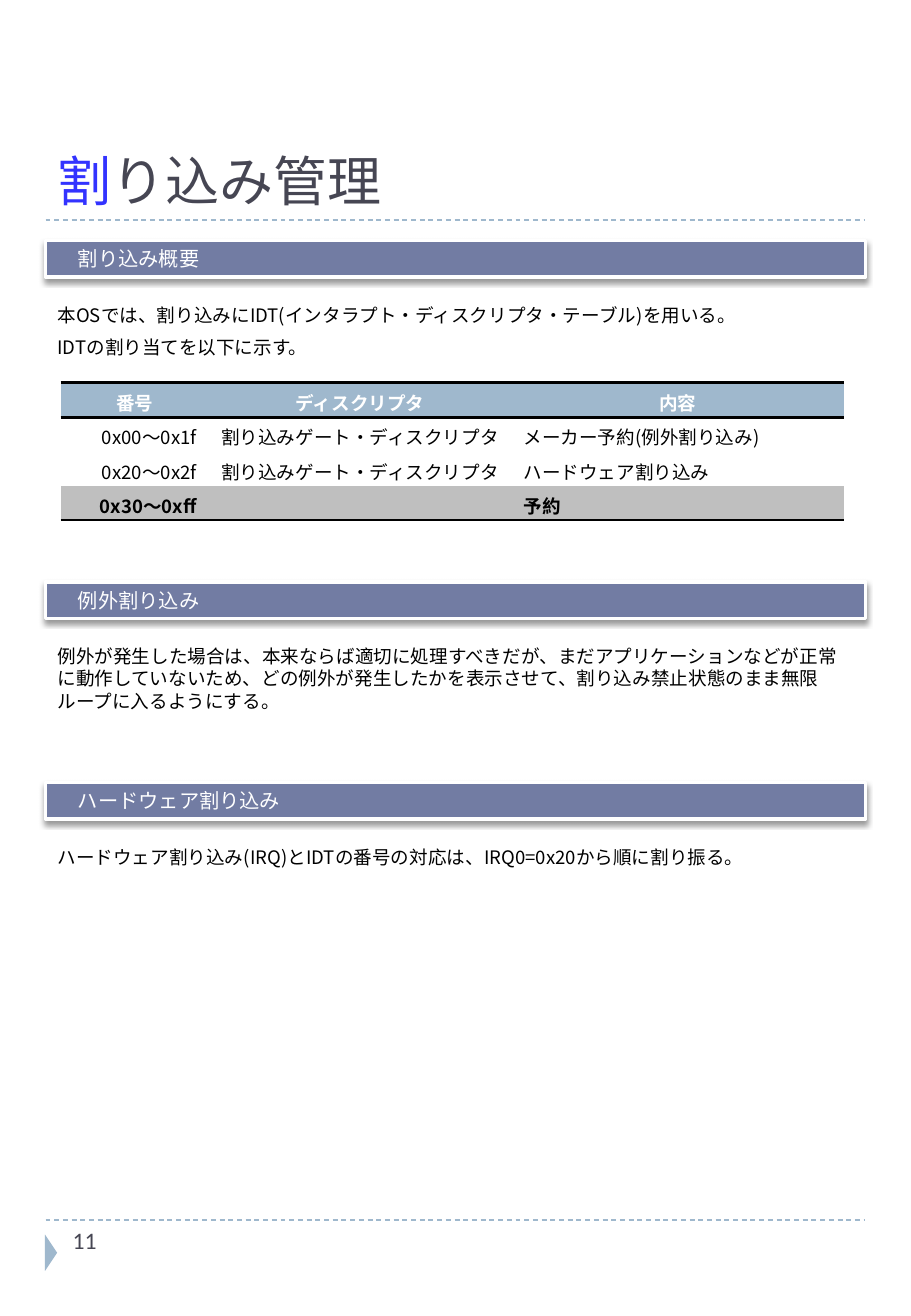
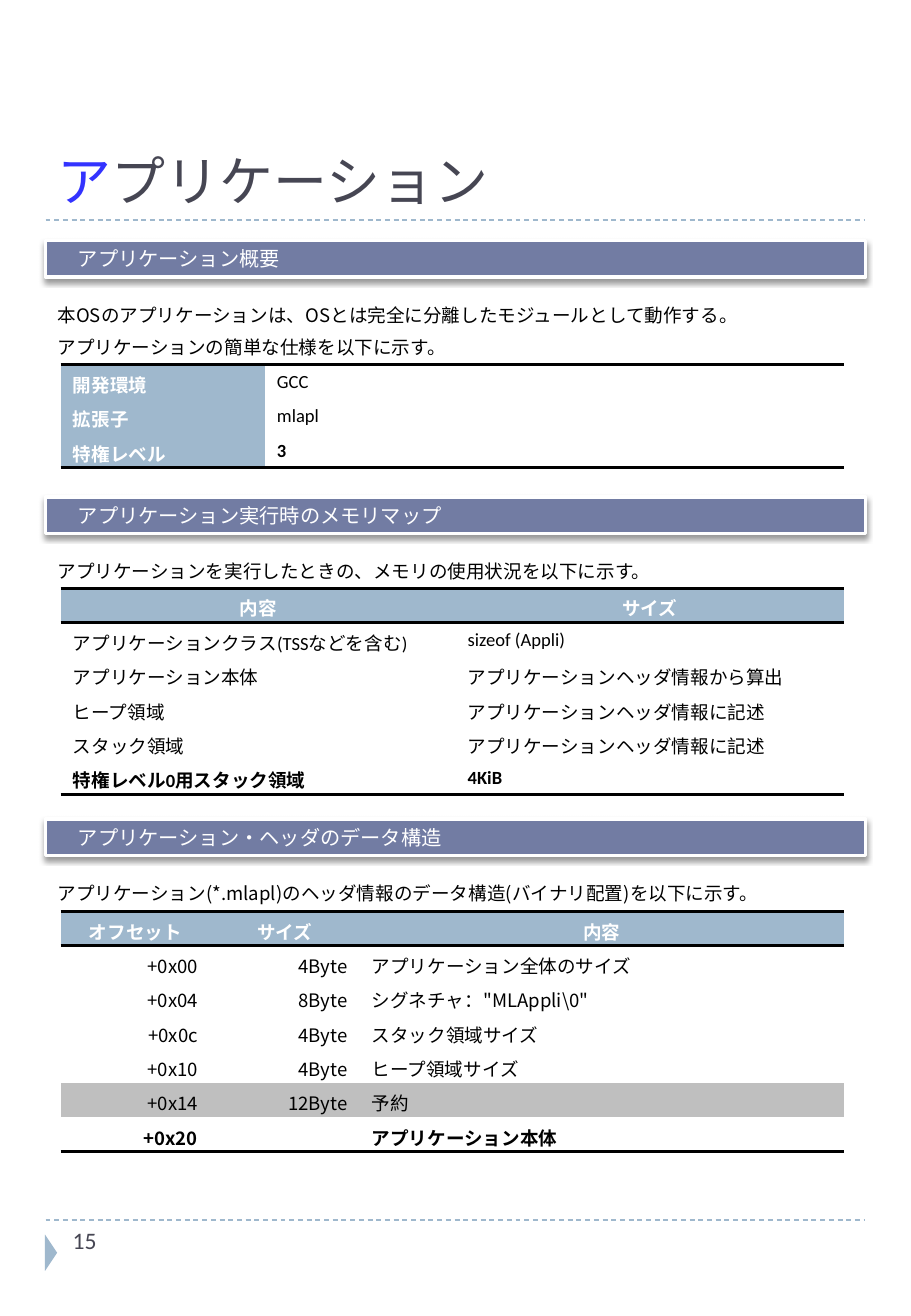
import pptx
import pptx.util
import pptx.dml.color
import pptx.enum.dml
import pptx.enum.shapes
import pptx.enum.text
import pptx.oxml
import pptx.oxml.ns
from lxml import etree

COLUMNS, ROWS = 75, 108.3
CELL = pptx.util.Inches(0.1)
MARGIN, CONTENT_WIDTH = 0.05 * COLUMNS, 0.9 * COLUMNS
TABLE_LEFT, TABLE_WIDTH = COLUMNS / 15, 0.86 * COLUMNS
TITLE_RULE, FOOTER_RULE = 18.1, 100.4
BAND_HEIGHT, TEXT_OFFSET = 3, 4.7

ACCENT, BAND, GRAY = "9FB8CD", "727CA3", "BFBFBF"
WHITE, BLACK, INITIAL, DARK = "FFFFFF", "000000", "3333FF", "464653"
GOTHIC, LATIN, SLAB = "Noto Sans CJK JP", "Calibri", "Roboto Slab"

ALIGN = {
    "l": pptx.enum.text.PP_ALIGN.LEFT,
    "c": pptx.enum.text.PP_ALIGN.CENTER,
    "r": pptx.enum.text.PP_ALIGN.RIGHT,
}
ANCHOR = pptx.enum.text.MSO_ANCHOR
SHAPE = pptx.enum.shapes.MSO_SHAPE


def grid(*cells):
    """Turn counts of grid cells into lengths."""
    return [round(count * CELL) for count in cells]


def paint(color_format, value):
    """Give a fill, or a font colour, a hex colour."""
    color_format.rgb = pptx.dml.color.RGBColor.from_string(value)


def fill(target, value):
    """Fill a shape, cell or line with a hex colour."""
    target.fill.solid()
    paint(target.fill.fore_color, value)


def apply(target, formats):
    """Set every attribute named in a dict of format values."""
    for attribute, value in formats.items():
        setattr(target, attribute, value)


def write(paragraph, text, size, color, face=GOTHIC, bold=False):
    """Add one formatted run to a paragraph."""
    run = paragraph.add_run()
    run.text = text
    apply(run.font, {"size": pptx.util.Pt(size), "bold": bold, "name": face})
    paint(run.font.color, color)
    etree.SubElement(run.font._element, pptx.oxml.ns.qn("a:ea"), typeface=GOTHIC)


def add_rule(slide, top):
    """Draw a dashed line across the content width."""
    left, right, height = grid(MARGIN, MARGIN + CONTENT_WIDTH, top)
    rule = slide.shapes.add_connector(
        pptx.enum.shapes.MSO_CONNECTOR.STRAIGHT, left, height, right, height)
    fill(rule.line, ACCENT)
    apply(rule.line, {"width": pptx.util.Pt(0.75),
                      "dash_style": pptx.enum.dml.MSO_LINE.DASH})
    etree.SubElement(rule._element.spPr, pptx.oxml.ns.qn("a:effectLst"))


def add_text_box(slide, *box):
    """Add a wrapping text box and return its frame."""
    frame = slide.shapes.add_textbox(*grid(*box)).text_frame
    frame.word_wrap = True
    return frame


def add_page(deck, title, number):
    """Start a slide with its title, rules, marker and page number."""
    slide = deck.slides.add_slide(deck.slide_layouts[5])
    heading = slide.shapes.title
    left, top, width, height = grid(MARGIN, 2.4, CONTENT_WIDTH, 15.6)
    apply(heading, {"left": left, "top": top, "width": width, "height": height})
    apply(heading.text_frame, {
        "auto_size": pptx.enum.text.MSO_AUTO_SIZE.NONE,
        "word_wrap": True,
        "vertical_anchor": ANCHOR.BOTTOM,
    })
    paragraph = heading.text_frame.paragraphs[0]
    paragraph.alignment = ALIGN["l"]
    write(paragraph, title[0], 32, INITIAL, SLAB)
    write(paragraph, title[1:], 32, DARK, SLAB)

    for rule_top in (TITLE_RULE, FOOTER_RULE):
        add_rule(slide, rule_top)
    marker = slide.shapes.add_shape(
        SHAPE.ISOSCELES_TRIANGLE, *grid(2.7, FOOTER_RULE + 2.2, 3, 1))
    marker.rotation = 90
    marker.shadow.inherit = False
    fill(marker, ACCENT)
    marker.line.fill.background()
    page_number = add_text_box(slide, TABLE_LEFT, FOOTER_RULE, 16.2, 5.8)
    write(page_number.paragraphs[0], str(number), 14, DARK, LATIN)
    return slide


def add_band(slide, top, heading):
    """Draw a section heading on a shadowed band."""
    band = slide.shapes.add_shape(
        SHAPE.RECTANGLE, *grid(MARGIN, top, CONTENT_WIDTH, BAND_HEIGHT))
    band.shadow.inherit = False
    fill(band, BAND)
    fill(band.line, WHITE)
    band.line.width = pptx.util.Pt(2)
    effects = band._element.spPr.find(pptx.oxml.ns.qn("a:effectLst"))
    effects.append(pptx.oxml.parse_xml(
        f'<a:outerShdw {pptx.oxml.ns.nsdecls("a")} blurRad="38100" dist="25400"'
        ' dir="5400000" rotWithShape="0"><a:srgbClr val="000000">'
        '<a:alpha val="40000"/></a:srgbClr></a:outerShdw>'))
    apply(band.text_frame, {"word_wrap": True, "vertical_anchor": ANCHOR.BOTTOM,
                            "margin_left": grid(2.67)[0]})
    paragraph = band.text_frame.paragraphs[0]
    paragraph.alignment = ALIGN["l"]
    write(paragraph, heading, 12, WHITE)


def add_section(slide, top, heading, sentences, lines=1):
    """Place a heading band and the sentences under it."""
    add_band(slide, top, heading)
    frame = add_text_box(slide, MARGIN, top + TEXT_OFFSET, CONTENT_WIDTH, 1 + 1.9 * lines)
    for index, sentence in enumerate(sentences):
        paragraph = frame.add_paragraph() if index else frame.paragraphs[0]
        paragraph.space_before = pptx.util.Pt(6 if index else 0)
        write(paragraph, sentence, 11, BLACK)


def add_borders(cell, ruled_sides):
    """Rule the named sides of a cell in black and clear the others."""
    properties = cell._tc.get_or_add_tcPr()
    for side in "LRTB":
        ink = (f'<a:solidFill><a:srgbClr val="{BLACK}"/></a:solidFill>'
               if side in ruled_sides else "<a:noFill/>")
        properties.append(pptx.oxml.parse_xml(
            f'<a:ln{side} {pptx.oxml.ns.nsdecls("a")} w="25400">{ink}</a:ln{side}>'))


def add_table(slide, top, height, widths, aligns, records,
              header=True, gray_row=None, face=GOTHIC):
    """Place a ruled table with a header row, or else a header column."""
    count = len(records)
    table = slide.shapes.add_table(
        count, len(widths), *grid(TABLE_LEFT, top, TABLE_WIDTH, height)).table
    apply(table, {"first_row": False, "horz_banding": False})
    for column, width in zip(table.columns, grid(*widths)):
        column.width = width
    ruled = {0, count} | ({1} if header else set())
    for r, record in enumerate(records):
        table.rows[r].height = grid(height / count)[0]
        for c, text in enumerate(record):
            cell = table.cell(r, c)
            is_head = r == 0 if header else c == 0
            add_borders(cell, "T" * (r in ruled) + "B" * (r + 1 in ruled))
            fill(cell, ACCENT if is_head else GRAY if r == gray_row else WHITE)
            apply(cell, {"margin_top": grid(0.5)[0], "margin_bottom": grid(0.1)[0]})
            paragraph = cell.text_frame.paragraphs[0]
            paragraph.alignment = ALIGN["c" if is_head and header else aligns[c]]
            if text:
                write(paragraph, text, 11, WHITE if is_head else BLACK, face,
                      bold=is_head or r == count - 1)
            else:
                etree.SubElement(paragraph._p, pptx.oxml.ns.qn("a:endParaRPr"), sz="1100")


def build_interrupts(deck):
    """Build the page on interrupt management."""
    slide = add_page(deck, "割り込み管理", 11)
    add_section(slide, 19.8, "割り込み概要", [
        "本OSでは、割り込みにIDT(インタラプト・ディスクリプタ・テーブル)を用いる。",
        "IDTの割り当てを以下に示す。",
    ], lines=2.4)
    add_table(slide, 31.5, 11.3, (12.2, 24.9, 27.4), "rll", [
        ("番号", "ディスクリプタ", "内容"),
        ("0x00～0x1f", "割り込みゲート・ディスクリプタ", "メーカー予約(例外割り込み)"),
        ("0x20～0x2f", "割り込みゲート・ディスクリプタ", "ハードウェア割り込み"),
        ("0x30～0xff", "", "予約"),
    ], gray_row=3)
    add_section(slide, 47.9, "例外割り込み", [
        "例外が発生した場合は、本来ならば適切に処理すべきだが、まだアプリケーションなどが"
        "正常に動作していないため、どの例外が発生したかを表示させて、割り込み禁止状態のまま"
        "無限ループに入るようにする。",
    ], lines=3)
    add_section(slide, 64.4, "ハードウェア割り込み", [
        "ハードウェア割り込み(IRQ)とIDTの番号の対応は、IRQ0=0x20から順に割り振る。",
    ])


def build_applications(deck):
    """Build the page on applications."""
    slide = add_page(deck, "アプリケーション", 15)
    add_section(slide, 19.8, "アプリケーション概要", [
        "本OSのアプリケーションは、OSとは完全に分離したモジュールとして動作する。",
        "アプリケーションの簡単な仕様を以下に示す。",
    ], lines=2.4)
    add_table(slide, 30, 8.5, (16.8, 47.7), "ll", [
        ("開発環境", "GCC"),
        ("拡張子", "mlapl"),
        ("特権レベル", "3"),
    ], header=False, face=LATIN)
    add_section(slide, 40.9, "アプリケーション実行時のメモリマップ", [
        "アプリケーションを実行したときの、メモリの使用状況を以下に示す。",
    ])
    add_table(slide, 48.4, 17, (32.5, 32), "ll", [
        ("内容", "サイズ"),
        ("アプリケーションクラス(TSSなどを含む)", "sizeof (Appli)"),
        ("アプリケーション本体", "アプリケーションヘッダ情報から算出"),
        ("ヒープ領域", "アプリケーションヘッダ情報に記述"),
        ("スタック領域", "アプリケーションヘッダ情報に記述"),
        ("特権レベル0用スタック領域", "4KiB"),
    ], face=LATIN)
    add_section(slide, 67.4, "アプリケーション・ヘッダのデータ構造", [
        "アプリケーション(*.mlapl)のヘッダ情報のデータ構造(バイナリ配置)を以下に示す。",
    ])
    add_table(slide, 75, 19.8, (12.3, 12.3, 39.9), "rrl", [
        ("オフセット", "サイズ", "内容"),
        ("+0x00", "4Byte", "アプリケーション全体のサイズ"),
        ("+0x04", "8Byte", 'シグネチャ："MLAppli\\0"'),
        ("+0x0c", "4Byte", "スタック領域サイズ"),
        ("+0x10", "4Byte", "ヒープ領域サイズ"),
        ("+0x14", "12Byte", "予約"),
        ("+0x20", "", "アプリケーション本体"),
    ], gray_row=5)


def main():
    """Build and save the deck."""
    deck = pptx.Presentation()
    deck.slide_width, deck.slide_height = grid(COLUMNS, ROWS)
    build_interrupts(deck)
    build_applications(deck)
    deck.save("out.pptx")


if __name__ == "__main__":
    main()
